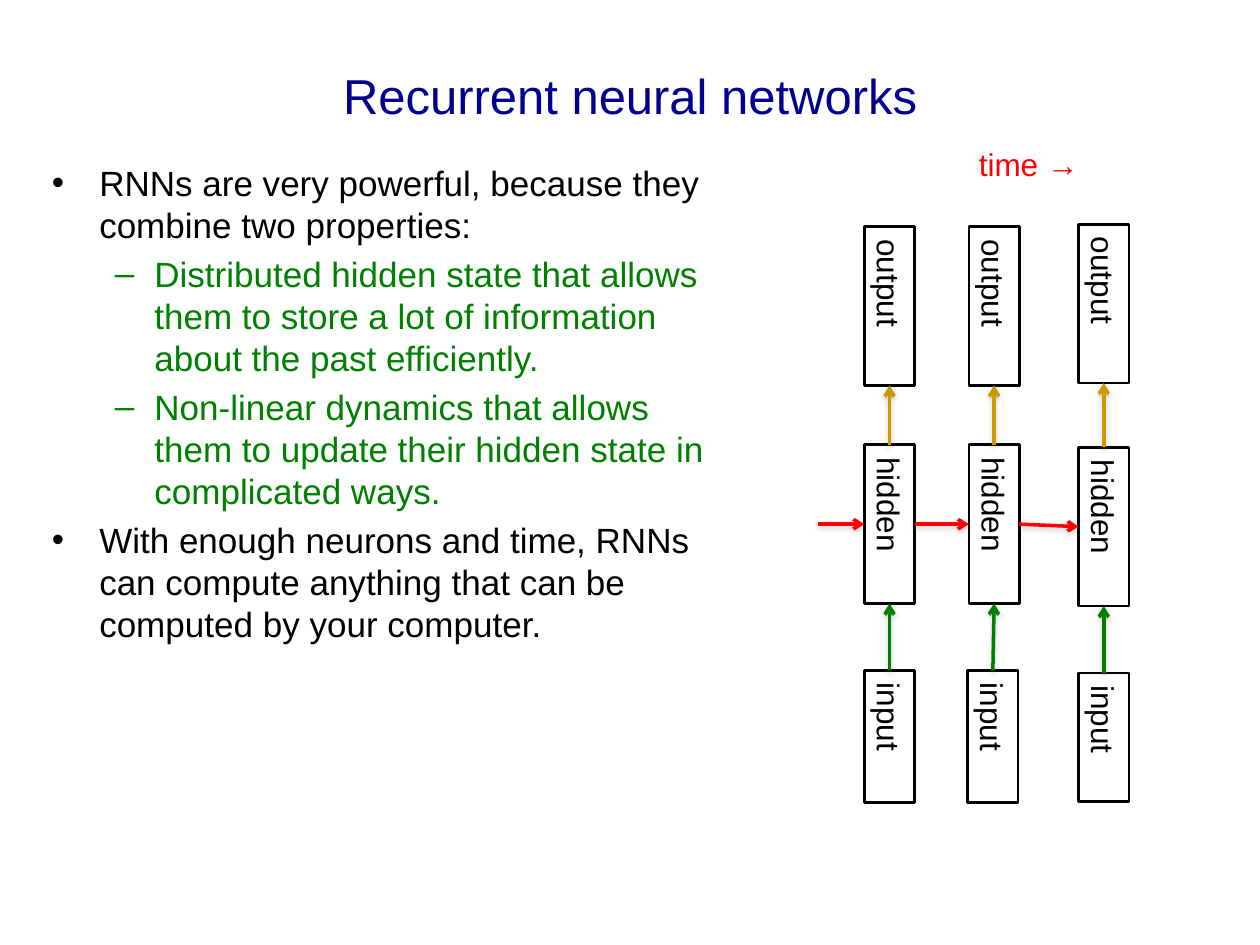
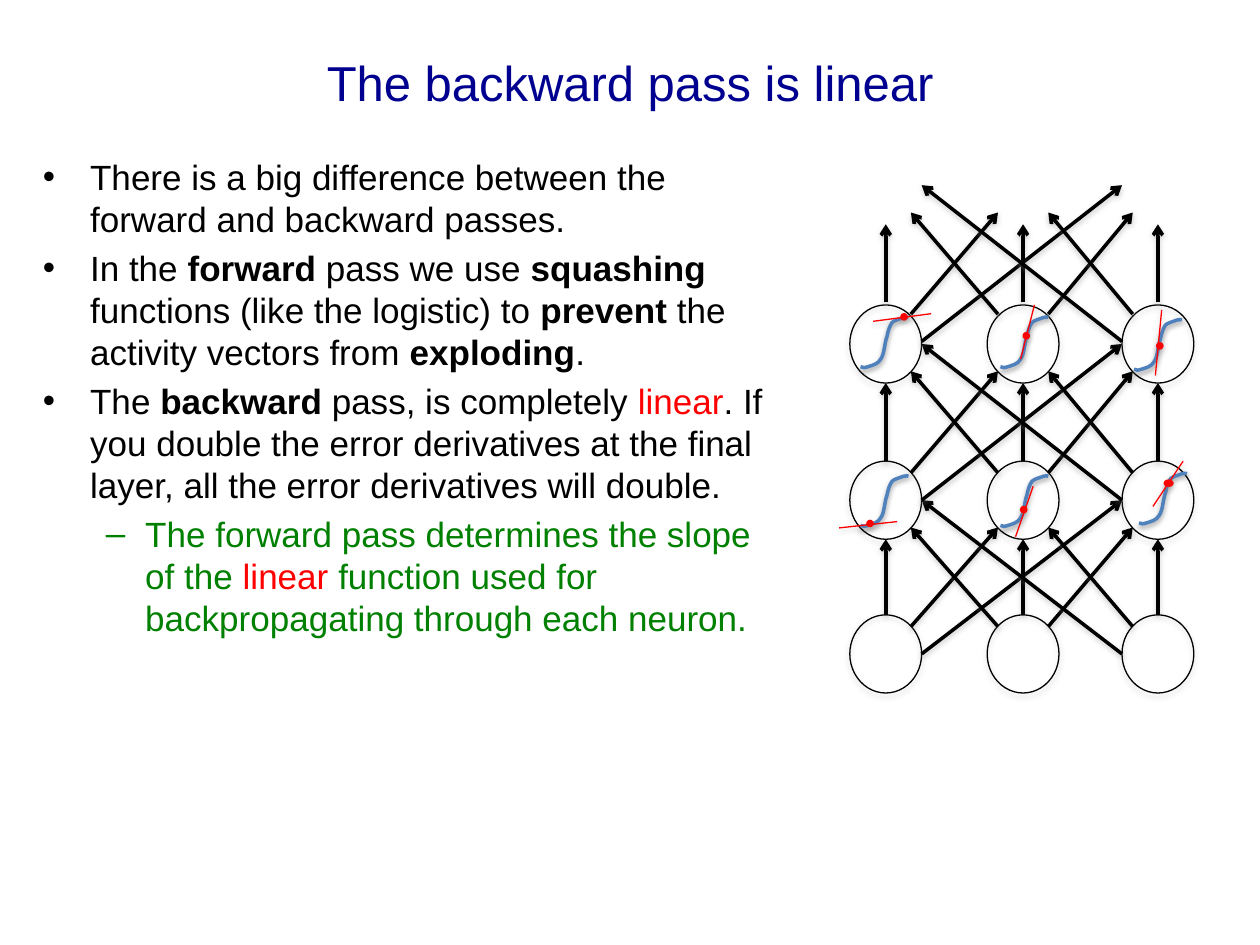
from lxml import etree
from pptx import Presentation
from pptx.dml.color import RGBColor
from pptx.enum.shapes import MSO_CONNECTOR, MSO_SHAPE
from pptx.oxml.ns import qn
from pptx.util import Emu, Inches, Pt

STRAIGHT = MSO_CONNECTOR.STRAIGHT
RECTANGLE, OVAL = MSO_SHAPE.RECTANGLE, MSO_SHAPE.OVAL
TOP, LEFT, BOTTOM, RIGHT = range(4)

FONT = "Arial"
COLORS = {
    "title": "000090", "text": "000000", "detail": "008000", "accent": "FF0000",
    "output": "CC9900", "curve": "4F81BD", "shadow": "808080",
}

# Content: each bullet is (level, runs), each run is (text, color, bold)
POWER_TITLE = "Recurrent neural networks"
POWER_BULLETS = [
    (0, [("RNNs are very powerful, because they combine two properties:", "text", False)]),
    (1, [("Distributed hidden state that allows them to store a lot of information "
          "about the past efficiently.", "detail", False)]),
    (1, [("Non-linear dynamics that allows them to update their hidden state in "
          "complicated ways.", "detail", False)]),
    (0, [("With enough neurons and time, RNNs can compute anything that can be "
          "computed by your computer.", "text", False)]),
]
BACKWARD_TITLE = "The backward pass is linear"
BACKWARD_BULLETS = [
    (0, [("There is a big difference between the forward and backward passes.",
          "text", False)]),
    (0, [("In the ", "text", False), ("forward", "text", True),
         (" pass we use ", "text", False), ("squashing", "text", True),
         (" functions (like the logistic) to ", "text", False), ("prevent", "text", True),
         (" the activity vectors from ", "text", False), ("exploding", "text", True),
         (".", "text", False)]),
    (0, [("The ", "text", False), ("backward", "text", True),
         (" pass, is completely ", "text", False), ("linear", "accent", False),
         (". If you double the error derivatives at the final layer, all the error "
          "derivatives will double.", "text", False)]),
    (1, [("The forward pass determines the slope of the", "detail", False),
         (" linear ", "accent", False),
         ("function used for backpropagating through each neuron.", "detail", False)]),
]

# Unrolled network: left, top and height of each layer's boxes, one per time step
BOX_WIDTH = 0.4
LAYERS = {
    "input": [(6.86, 5.32, 1.05), (7.68, 5.32, 1.05), (8.56, 5.34, 1.02)],
    "hidden": [(6.86, 3.53, 1.26), (7.69, 3.53, 1.26), (8.56, 3.55, 1.26)],
    "output": [(6.86, 1.80, 1.26), (7.69, 1.80, 1.26), (8.56, 1.78, 1.26)],
}

# Layered network: column centres, row tops, and (lower top, upper top) of each arrow fan
COLUMN_CENTERS = [7.03, 8.12, 9.19]
ROW_TOPS = [4.88, 3.66, 2.42]
FANS = [(4.88, 3.66), (3.66, 2.42), (2.40, 1.16)]
HALF_WIDTH, HALF_HEIGHT = 0.57 / 2, 0.31
# Share of the half axes where an arrow leaves, by number of columns it crosses
RIM_POINTS = {0: (0, 1), 1: (0.7, 0.7), 2: (1, 0)}

# Squashing curve: start, then cubic segments, relative to its top left corner
CURVE_START = (0, 0.39)
CURVE_SEGMENTS = [
    [(0.02, 0.40), (0.03, 0.40), (0.06, 0.39)],
    [(0.09, 0.38), (0.14, 0.37), (0.16, 0.33)],
    [(0.19, 0.29), (0.19, 0.20), (0.21, 0.15)],
    [(0.22, 0.10), (0.23, 0.07), (0.25, 0.04)],
    [(0.27, 0.02), (0.32, 0.01), (0.34, 0)],
    [(0.36, -0.01), (0.38, 0), (0.38, 0)],
]
# Curve corner, tangent start, tangent end, dot (left, top, width)
ACTIVATIONS = [
    ((6.83, 2.52), (6.93, 2.55), (7.39, 2.49), (7.15, 2.49, 0.05)),
    ((7.94, 2.52), (8.10, 2.85), (8.21, 2.42), (8.12, 2.64, 0.05)),
    ((9.00, 2.54), (9.17, 2.98), (9.22, 2.46), (9.18, 2.72, 0.05)),
    ((6.83, 3.78), (6.66, 4.19), (7.12, 4.14), (6.88, 4.13, 0.05)),
    ((7.94, 3.78), (8.06, 4.26), (8.20, 3.86), (8.10, 4.02, 0.05)),
    ((9.04, 3.76), (9.15, 4.02), (9.39, 3.66), (9.24, 3.81, 0.07)),
]


def rgb(name):
    return RGBColor.from_string(COLORS[name])


def add_text(paragraph, text, size=18, color="text", bold=False):
    run = paragraph.add_run()
    run.text = text
    run.font.name, run.font.size, run.font.bold = FONT, Pt(size), bold
    run.font.color.rgb = rgb(color)


def add_shadow(shape, color="shadow", opacity=38, distance=1.6):
    """Add a soft shadow below a shape whose line is already set."""
    properties = shape._element.spPr
    effects = properties.find(qn("a:effectLst"))
    if effects is None:
        effects = etree.SubElement(properties, qn("a:effectLst"))
    outer = etree.SubElement(effects, qn("a:outerShdw"), blurRad=str(Pt(3.1)),
                             dist=str(Pt(distance)), dir="5400000", rotWithShape="0")
    tint = etree.SubElement(outer, qn("a:srgbClr"), val=COLORS[color])
    etree.SubElement(tint, qn("a:alpha"), val=str(opacity * 1000))


def style_outline(shape, color, width, fill=None):
    shape.line.color.rgb = rgb(color)
    shape.line.width = Pt(width)
    if fill:
        shape.fill.solid()
        shape.fill.fore_color.rgb = rgb(fill)
    else:
        shape.fill.background()
    shape.shadow.inherit = False


def add_line(parent, start, end, color, width=2, arrow=True):
    line = parent.shapes.add_connector(
        STRAIGHT, *(Inches(value) for value in (*start, *end)))
    line.line.color.rgb = rgb(color)
    line.line.width = Pt(width)
    if arrow:
        etree.SubElement(line.line._get_or_add_ln(), qn("a:tailEnd"), type="arrow")
    add_shadow(line)
    return line


def join(slide, source, source_side, target, target_side, color):
    arrow = add_line(slide, (0, 0), (1, 1), color)
    arrow.begin_connect(source, source_side)
    arrow.end_connect(target, target_side)


def place(shape, box):
    shape.left, shape.top, shape.width, shape.height = (Inches(value) for value in box)


def add_content_slide(presentation, title, title_top, bullets, body_box):
    slide = presentation.slides.add_slide(presentation.slide_layouts[1])
    heading, body = slide.placeholders
    place(heading, (0.5, title_top, 9, 1.25))
    add_text(heading.text_frame.paragraphs[0], title, size=28, color="title")
    place(body, body_box)
    frame = body.text_frame
    for index, (level, runs) in enumerate(bullets):
        paragraph = frame.add_paragraph() if index else frame.paragraphs[0]
        paragraph.level = level
        if index == 0:
            paragraph.space_before = Pt(0)
        for text, color, bold in runs:
            add_text(paragraph, text, size=20, color=color, bold=bold)
    return slide


def add_layer_box(slide, label, left, top, height):
    box = slide.shapes.add_shape(RECTANGLE, Inches(left), Inches(top),
                                 Inches(BOX_WIDTH), Inches(height))
    style_outline(box, "text", 1.5)
    frame = box.text_frame
    frame.margin_top = frame.margin_bottom = Inches(0.1)
    frame.margin_left = frame.margin_right = Inches(0.05)
    # Text runs downwards, starting at the top right
    frame._txBody.bodyPr.set("vert", "vert")
    frame._txBody.bodyPr.set("anchor", "t")
    paragraph = frame.paragraphs[0]
    paragraph._p.get_or_add_pPr().set("algn", "l")
    add_text(paragraph, label)
    return box


def draw_unrolled_network(slide):
    boxes = {label: [add_layer_box(slide, label, *spot) for spot in spots]
             for label, spots in LAYERS.items()}
    hidden = boxes["hidden"]
    # Time arrows between hidden states
    left, top, height = LAYERS["hidden"][0]
    middle = top + height / 2
    first = add_line(slide, (6.49, middle), (left, middle), "accent")
    first.end_connect(hidden[0], LEFT)
    for earlier, later in zip(hidden, hidden[1:]):
        join(slide, earlier, RIGHT, later, LEFT, "accent")
    # Arrows up through the layers
    for source, state, result in zip(boxes["input"], hidden, boxes["output"]):
        join(slide, source, TOP, state, BOTTOM, "detail")
        join(slide, state, TOP, result, BOTTOM, "output")
    label = slide.shapes.add_textbox(Inches(7.67), Inches(1.1), Inches(1.57), Inches(0.4))
    label.text_frame.word_wrap = True
    add_text(label.text_frame.paragraphs[0], "time →", color="accent")


def add_oval(parent, left, top, width, height, color, fill=None):
    oval = parent.shapes.add_shape(OVAL, *(Inches(v) for v in (left, top, width, height)))
    style_outline(oval, color, 0.75, fill)
    add_shadow(oval, opacity=35, distance=1.8)


def draw_fan(parent, lower_top, upper_top):
    """Connect every neuron of one row to every neuron of the row above."""
    lower, upper = lower_top + HALF_HEIGHT, upper_top + HALF_HEIGHT
    for source, start in enumerate(COLUMN_CENTERS):
        for target, end in enumerate(COLUMN_CENTERS):
            share_x, share_y = RIM_POINTS[abs(target - source)]
            shift = share_x * HALF_WIDTH * (1 if target > source else -1)
            rise = share_y * HALF_HEIGHT
            add_line(parent, (start + shift, lower - rise), (end - shift, upper + rise), "text")


def draw_curve(parent, left, top):
    """Build the outline through the segment ends, then bend each segment."""
    start, *ends = [(Inches(left + x), Inches(top + y)) for x, y in
                    [CURVE_START] + [segment[-1] for segment in CURVE_SEGMENTS]]
    builder = parent.shapes.build_freeform(*start, scale=1.0)
    builder.add_line_segments(ends, close=False)
    curve = builder.convert_to_shape(Emu(0), Emu(0))
    straight_parts = list(curve._element.iter(qn("a:lnTo")))
    for straight, segment in zip(straight_parts, CURVE_SEGMENTS):
        bend = etree.Element(qn("a:cubicBezTo"))
        for x, y in segment:
            etree.SubElement(bend, qn("a:pt"), x=str(Inches(x)), y=str(Inches(y)))
        straight.getparent().replace(straight, bend)
    style_outline(curve, "curve", 2)
    add_shadow(curve, color="text")


def draw_layered_network(slide):
    network = slide.shapes.add_group_shape()
    for top in ROW_TOPS:
        for center in COLUMN_CENTERS:
            add_oval(network, center - HALF_WIDTH, top, 2 * HALF_WIDTH, 2 * HALF_HEIGHT, "text")
    for lower_top, upper_top in FANS:
        draw_fan(network, lower_top, upper_top)
    # Squashing curve, its operating point and the tangent there
    for corner, start, end, (left, top, width) in ACTIVATIONS:
        draw_curve(network, *corner)
        add_oval(network, left, top, width, 0.05, "accent", fill="accent")
        add_line(network, start, end, "accent", width=0.75, arrow=False)


def main():
    presentation = Presentation()
    presentation.slide_width, presentation.slide_height = Inches(10), Inches(7.5)
    draw_unrolled_network(add_content_slide(
        presentation, POWER_TITLE, 0.13, POWER_BULLETS, (5 / 16, 1.23, 5.48, 5.46)))
    draw_layered_network(add_content_slide(
        presentation, BACKWARD_TITLE, 1 / 40, BACKWARD_BULLETS, (0.24, 85 / 72, 5.93, 4.95)))
    presentation.save("out.pptx")


if __name__ == "__main__":
    main()
